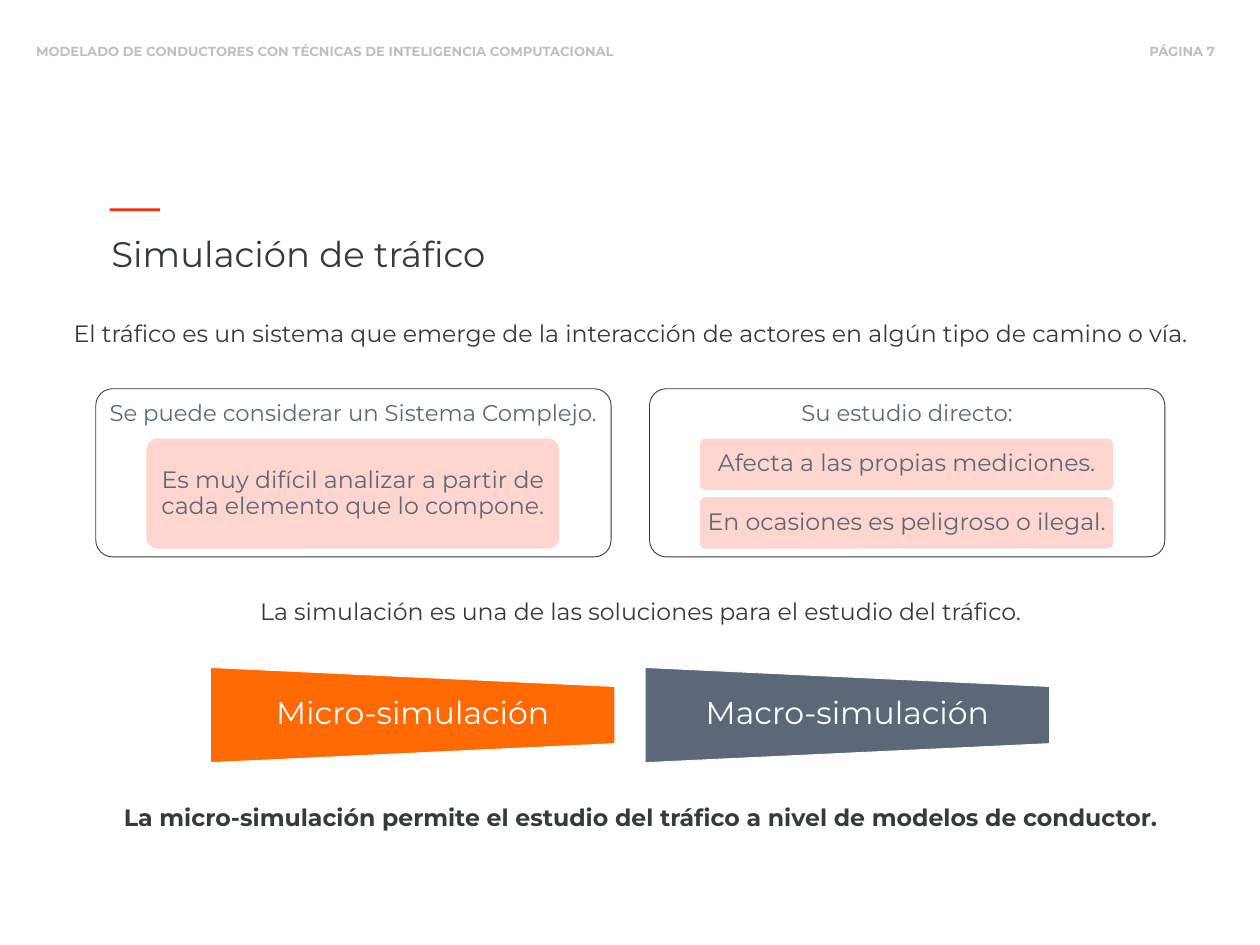
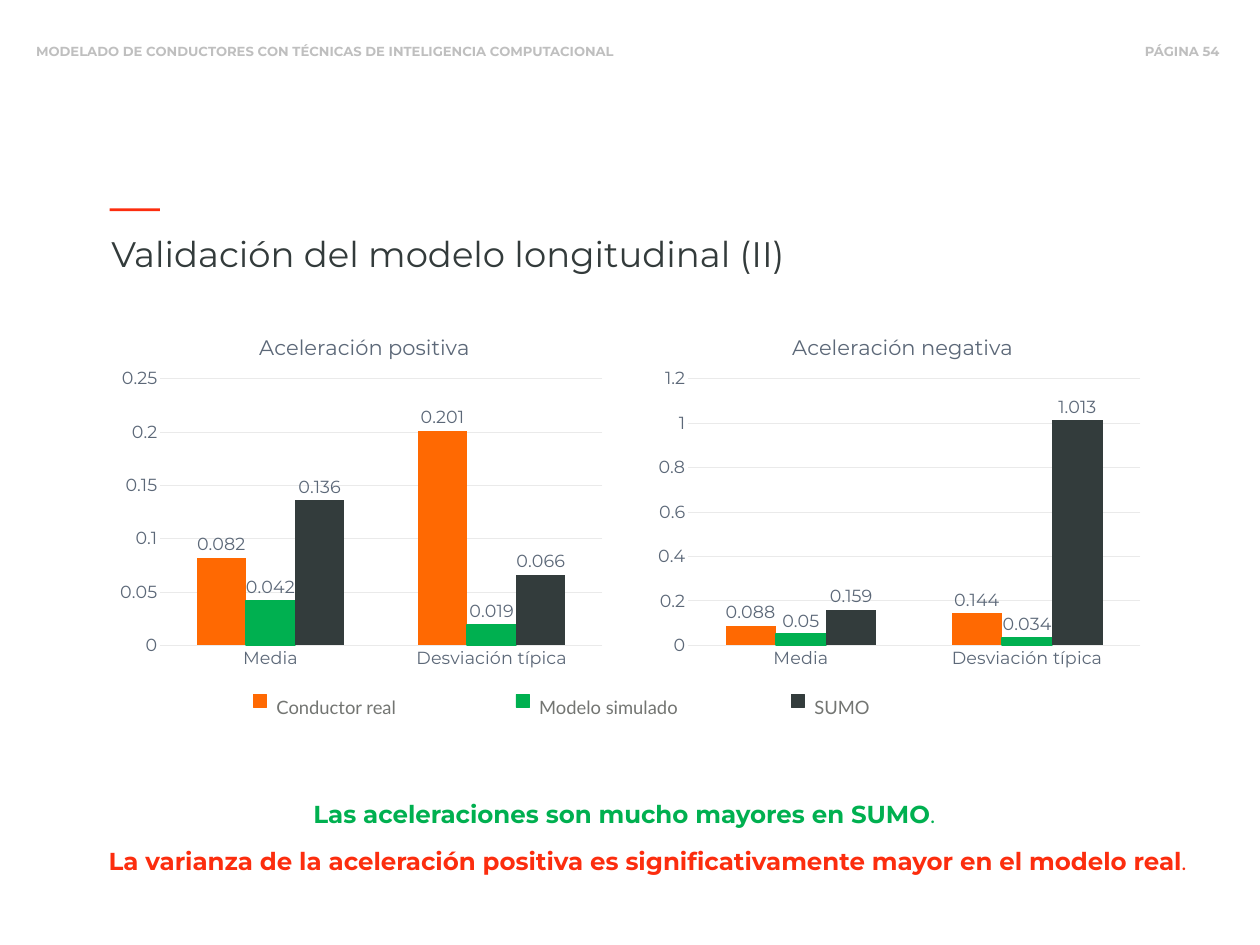
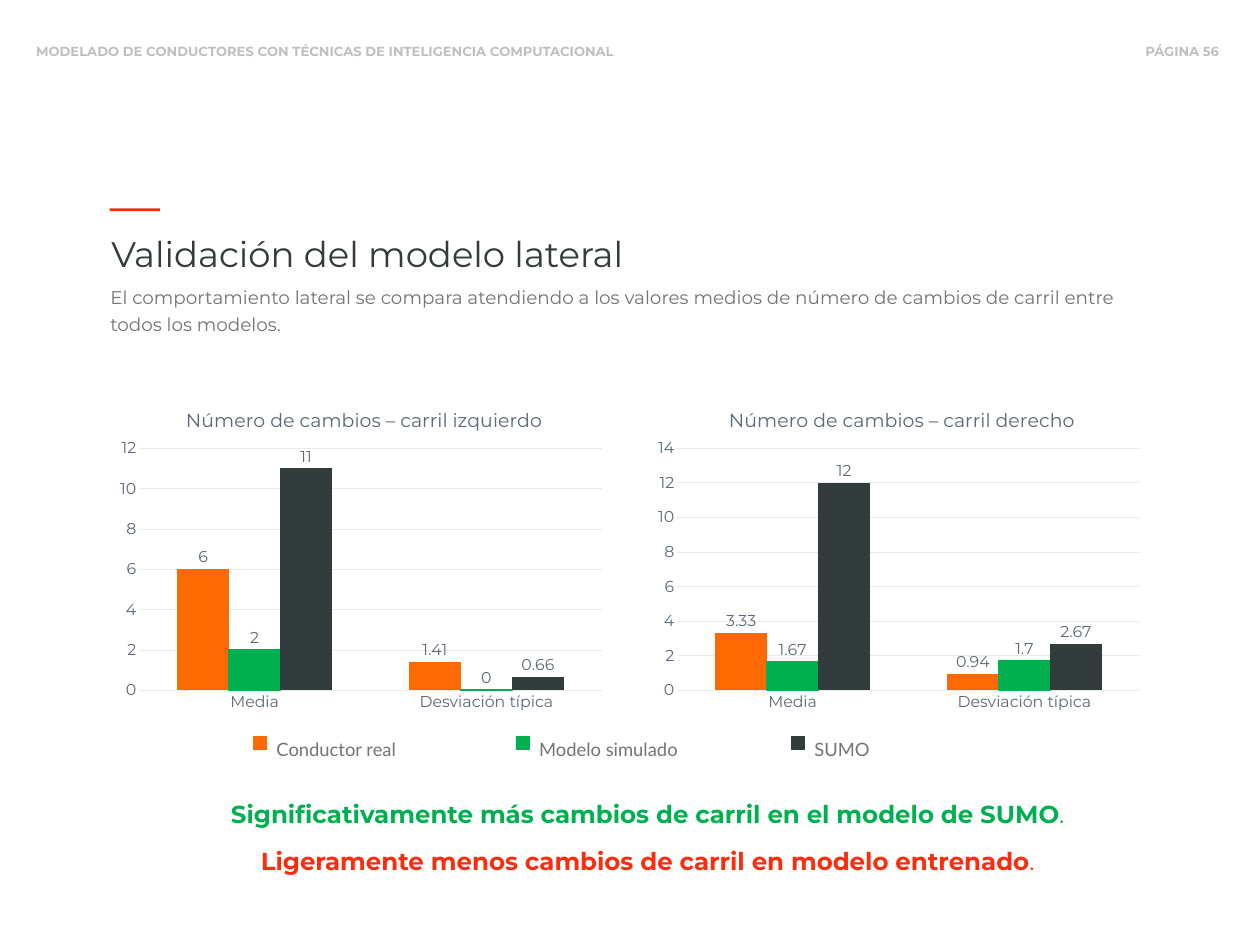
from dataclasses import dataclass

from lxml.etree import SubElement
from pptx import Presentation
from pptx.chart.data import CategoryChartData
from pptx.dml.color import RGBColor
from pptx.enum.chart import XL_CHART_TYPE, XL_LABEL_POSITION, XL_TICK_MARK
from pptx.enum.shapes import MSO_SHAPE
from pptx.enum.text import MSO_ANCHOR, PP_ALIGN
from pptx.oxml.ns import qn
from pptx.util import Inches, Pt


@dataclass(frozen=True)
class Theme:
    """Colours, fonts and type sizes shared by all slides."""

    font: str = "Montserrat"
    legend_font: str = "Lato"
    ink: str = "333B3B"
    dark: str = "333C3C"
    slate: str = "5C6878"
    grey: str = "737572"
    header: str = "BFBFBF"
    grid: str = "EAEAEA"
    orange: str = "FF6902"
    green: str = "00B050"
    red: str = "FC2D0E"
    pink: str = "FED5CF"
    white: str = "FFFFFF"
    header_size: float = 15
    title_size: float = 40.5
    body_size: float = 27
    panel_size: float = 26
    conclusion_size: float = 28
    banner_size: float = 36
    small_size: float = 21


THEME = Theme()
RUNNING_TITLE = "MODELADO DE CONDUCTORES CON TÉCNICAS DE INTELIGENCIA COMPUTACIONAL"
CATEGORIES = ("Media", "Desviación típica")
MODELS = (
    ("Conductor real", THEME.orange, 4.02),
    ("Modelo simulado", THEME.green, 8.19),
    ("SUMO", THEME.dark, 12.56),
)
CHART_LEFTS = (1.74, 10.28)


@dataclass(frozen=True)
class Measure:
    """One column chart: its wording, values, scale and inner placement."""

    title: str
    values: tuple
    maximum: float
    step: float
    title_left: float
    plot_left: float


def rgb(colour):
    """Turn a hex string into a colour."""
    return RGBColor.from_string(colour)


def style_font(font, size, colour, bold=False, name=THEME.font):
    """Set the face, size, colour and weight of a font."""
    font.name = name
    font.size = Pt(size)
    font.bold = bold
    font.color.rgb = rgb(colour)


def write(shape, spans, size, colour, align=PP_ALIGN.LEFT, spacing=None,
          insets=(0.1, 0.05), anchor=MSO_ANCHOR.TOP, wrap=True, name=THEME.font):
    """Fill a shape with one paragraph made of (text, bold) spans."""
    frame = shape.text_frame
    frame.word_wrap = wrap
    frame.vertical_anchor = anchor
    frame.margin_left = frame.margin_right = Inches(insets[0])
    frame.margin_top = frame.margin_bottom = Inches(insets[1])
    para = frame.paragraphs[0]
    para.alignment = align
    if spacing:
        para.line_spacing = spacing
    for text, bold in spans:
        span = para.add_run()
        span.text = text
        style_font(span.font, size, colour, bold, name)


def add_text(page, place, text, size, colour, bold=False, **options):
    """Add a text box holding a single span."""
    box = page.shapes.add_textbox(*map(Inches, place))
    write(box, [(text, bold)], size, colour, **options)


def add_block(page, kind, place, fill, line=None, width=1):
    """Add a flat filled shape with an optional outline."""
    block = page.shapes.add_shape(kind, *map(Inches, place))
    block.shadow.inherit = False
    block.fill.solid()
    block.fill.fore_color.rgb = rgb(fill)
    if line:
        block.line.color.rgb = rgb(line)
        block.line.width = Pt(width)
    else:
        block.line.fill.background()
    return block


def add_page(deck, number, title):
    """Add a slide with the running header, accent bar and title."""
    page = deck.slides.add_slide(deck.slide_layouts[6])
    for place, text in (((17.94, 0.61, 1.65, 0.4), f"PÁGINA {number}"),
                        ((0.36, 0.61, 9.6, 0.4), RUNNING_TITLE)):
        add_text(page, place, text, THEME.header_size, THEME.header, True,
                 align=PP_ALIGN.CENTER, insets=(0.15, 0.08), wrap=False)
    add_block(page, MSO_SHAPE.RECTANGLE, (1.74, 3.31, 0.8, 0.04), THEME.red)
    add_text(page, (1.67, 3.63, 16, 0.78), title, THEME.title_size, THEME.ink)
    return page


def add_statement(page, left, top, text, bold=False):
    """Add a centred full-width sentence."""
    add_text(page, (left, top, 18.59, 0.56), text, THEME.body_size, THEME.ink,
             bold, align=PP_ALIGN.CENTER)


def add_rounded(page, place, fill, line):
    """Add a rounded rectangle with a small corner radius."""
    block = add_block(page, MSO_SHAPE.ROUNDED_RECTANGLE, place, fill, line)
    block.adjustments[0] = 0.1
    return block


def add_panel(page, left, heading, cards):
    """Add an outlined panel whose cards share its height equally."""
    top, width, heading_height, gap = 6.17, 8.18, 0.8, 0.13
    add_rounded(page, (left, top, width, 2.67), THEME.white, THEME.dark)
    add_text(page, (left, top, width, heading_height), heading,
             THEME.panel_size, THEME.slate, align=PP_ALIGN.CENTER, spacing=0.9,
             insets=(0.11, 0.11), anchor=MSO_ANCHOR.MIDDLE)
    height = (1.73 - gap * (len(cards) - 1)) / len(cards)
    for index, text in enumerate(cards):
        card_top = top + heading_height + index * (height + gap)
        card = add_rounded(page, (left + 0.81, card_top, 6.54, height),
                           THEME.pink, THEME.pink)
        write(card, [(text, False)], THEME.body_size, THEME.slate,
              PP_ALIGN.CENTER, 0.9, (0.07, 0.06), MSO_ANCHOR.MIDDLE)


def add_banner(page, left, text, fill):
    """Add a tapering banner with a centred label."""
    length, breadth, middle = 6.42, 1.51, 11.35
    place = (left + (length - breadth) / 2, middle - length / 2, breadth, length)
    taper = add_block(page, MSO_SHAPE.FLOWCHART_MANUAL_OPERATION, place, fill,
                      THEME.white)
    taper.rotation = 270
    add_text(page, (left, 10.89, length, 0.91), text, THEME.banner_size,
             THEME.white, align=PP_ALIGN.CENTER, spacing=0.9, insets=(0.25, 0),
             anchor=MSO_ANCHOR.MIDDLE)


def place_part(part, index, **settings):
    """Give a chart part a manual layout as fractions of the chart."""
    for old in part.findall(qn("c:layout")):
        part.remove(old)
    layout = SubElement(part, qn("c:layout"))
    part.insert(index, layout)
    manual = SubElement(layout, qn("c:manualLayout"))
    for tag, value in settings.items():
        SubElement(manual, qn(f"c:{tag}")).set("val", str(value))


def style_axes(chart, measure, size):
    """Style both axes and fix the value scale."""
    for axis in (chart.category_axis, chart.value_axis):
        axis.major_tick_mark = axis.minor_tick_mark = XL_TICK_MARK.NONE
        style_font(axis.tick_labels.font, size, THEME.slate)
    values = chart.value_axis
    values.minimum_scale, values.maximum_scale = 0, measure.maximum
    values.major_unit = measure.step
    values.has_major_gridlines = True
    values.format.line.fill.background()
    for line in (chart.category_axis.format.line,
                 values.major_gridlines.format.line):
        line.color.rgb = rgb(THEME.grid)
        line.width = Pt(0.75)


def style_series(series, colour, size):
    """Colour a series and label its columns."""
    series.format.fill.solid()
    series.format.fill.fore_color.rgb = rgb(colour)
    if colour == THEME.green:
        series.format.line.color.rgb = rgb(colour)
        series.format.line.width = Pt(2)
    labels = series.data_labels
    labels.show_value = True
    labels.position = XL_LABEL_POSITION.OUTSIDE_END
    style_font(labels.font, size, THEME.slate)


def add_columns(page, place, measure, size):
    """Add a clustered column chart comparing the models."""
    data = CategoryChartData()
    data.categories = CATEGORIES
    for (name, _, _), values in zip(MODELS, measure.values):
        data.add_series(name, values)
    chart = page.shapes.add_chart(XL_CHART_TYPE.COLUMN_CLUSTERED,
                                  *map(Inches, place), data).chart
    style_font(chart.font, size, THEME.slate)
    chart.has_legend = False
    chart.has_title = True
    span = chart.chart_title.text_frame.paragraphs[0].add_run()
    span.text = measure.title
    style_font(span.font, size * 1.2, THEME.slate)
    place_part(chart.chart_title._element, 1, xMode="edge", yMode="edge",
               x=measure.title_left, y=0.045)
    plot = chart.plots[0]
    plot.gap_width, plot.overlap = 150, 0
    plot.vary_by_categories = False
    place_part(plot._element.getparent(), 0, layoutTarget="inner", xMode="edge",
               yMode="edge", x=measure.plot_left, y=0.182,
               w=round(0.98 - measure.plot_left, 3), h=0.732)
    style_axes(chart, measure, size)
    for series, (_, colour, _) in zip(plot.series, MODELS):
        style_series(series, colour, size)


def add_comparison(page, top, height, size, measures):
    """Add a pair of charts with a shared legend below."""
    for left, measure in zip(CHART_LEFTS, measures):
        add_columns(page, (left, top, 7.98, height), measure, size)
    legend_top = top + height + 0.08
    for name, colour, left in MODELS:
        add_block(page, MSO_SHAPE.RECTANGLE, (left, legend_top + 0.2, 0.21, 0.21),
                  colour, colour)
        add_text(page, (left + 0.27, legend_top, 3.13, 0.57), name,
                 THEME.small_size, THEME.grey, spacing=1.5,
                 name=THEME.legend_font)


def add_conclusions(page, first, second, first_left=1.3):
    """Add the green and red closing sentences."""
    for text, colour, left, top in ((first, THEME.green, first_left, 12.64),
                                    (second, THEME.red, 1.3, 13.38)):
        box = page.shapes.add_textbox(*map(Inches, (left, top, 17.96, 0.57)))
        write(box, [(text, True), (".", False)], THEME.conclusion_size, colour,
              PP_ALIGN.CENTER)


def build_simulation(deck):
    """Build the slide on traffic simulation."""
    page = add_page(deck, 7, "Simulación de tráfico")
    add_statement(page, 0.71, 5.01, "El tráfico es un sistema que emerge de la "
                  "interacción de actores en algún tipo de camino o vía.")
    add_panel(page, 1.52, "Se puede considerar un Sistema Complejo.",
              ["Es muy difícil analizar a partir de cada elemento que lo compone."])
    add_panel(page, 10.31, "Su estudio directo:",
              ["Afecta a las propias mediciones.",
               "En ocasiones es peligroso o ilegal."])
    add_statement(page, 0.87, 9.43, "La simulación es una de las soluciones "
                  "para el estudio del tráfico.")
    add_banner(page, 3.34, "Micro-simulación", THEME.orange)
    add_banner(page, 10.24, "Macro-simulación", THEME.slate)
    add_statement(page, 0.87, 12.7, "La micro-simulación permite el estudio del "
                  "tráfico a nivel de modelos de conductor.", True)


def build_longitudinal(deck):
    """Build the slide validating the longitudinal model."""
    page = add_page(deck, 54, "Validación del modelo longitudinal (II)")
    add_comparison(page, 4.96, 5.78, 20, (
        Measure("Aceleración positiva",
                ((0.082, 0.201), (0.042, 0.019), (0.136, 0.066)),
                0.25, 0.05, 0.29, 0.1),
        Measure("Aceleración negativa",
                ((0.088, 0.144), (0.05, 0.034), (0.159, 1.013)),
                1.2, 0.2, 0.28, 0.08),
    ))
    add_conclusions(page, "Las aceleraciones son mucho mayores en SUMO",
                    "La varianza de la aceleración positiva es "
                    "significativamente mayor en el modelo real", 0.93)


def build_lateral(deck):
    """Build the slide validating the lateral model."""
    page = add_page(deck, 56, "Validación del modelo lateral")
    add_text(page, (1.57, 4.38, 16.51, 1.01),
             "El comportamiento lateral se compara atendiendo a los valores "
             "medios de número de cambios de carril entre todos los modelos.",
             THEME.small_size, THEME.grey, spacing=Pt(30.6), insets=(0.18, 0.09))
    add_comparison(page, 6.16, 5.25, 18, (
        Measure("Número de cambios – carril izquierdo",
                ((6, 1.41), (2, 0), (11, 0.66)), 12, 2, 0.145, 0.058),
        Measure("Número de cambios – carril derecho",
                ((3.33, 0.94), (1.67, 1.7), (12, 2.67)), 14, 2, 0.155, 0.058),
    ))
    add_conclusions(page, "Significativamente más cambios de carril en el "
                    "modelo de SUMO",
                    "Ligeramente menos cambios de carril en modelo entrenado")


def main():
    """Build and save the deck."""
    deck = Presentation()
    deck.slide_width, deck.slide_height = Inches(20), Inches(15)
    build_simulation(deck)
    build_longitudinal(deck)
    build_lateral(deck)
    deck.save("out.pptx")


if __name__ == "__main__":
    main()
